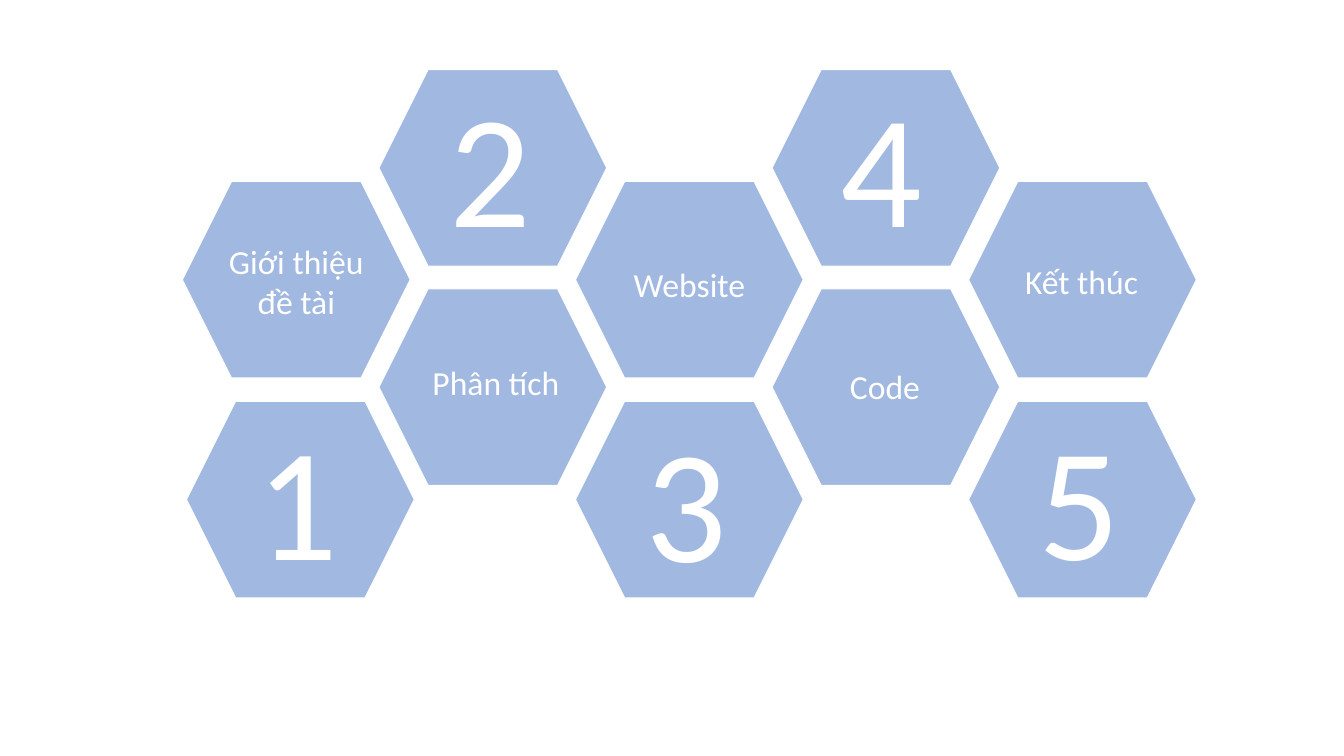
import pptx
import pptx.util
import pptx.dml.color
import pptx.enum.shapes
import pptx.enum.text
from lxml import etree

Pt = pptx.util.Pt
BLUE, WHITE, FONT = "4472C4", "FFFFFF", "Calibri"

# number, its left and top; label, its left, top and height
TOPICS = [
    ("1", 176.4, 281.5, "Giới thiệu đề tài", 145.4, 168.5, 65.5),
    ("2", 313.9, 43.9, "Phân tích", 288, 254.9, 36),
    ("3", 454.3, 283, "Website", 426.2, 185, 36),
    ("4", 593.3, 43.9, "Code", 565.9, 257.8, 36),
    ("5", 734.4, 281.5, "Kết thúc", 706.3, 182.9, 36),
]
LEFT, STEP = 130.3, 140.4
HEX_W, HEX_H = 162.7, 140.4
LOW_TOPS = (286.6, 129.6)
HIGH_TOPS = (206.3, 49.7)
NUDGE = 2.9  # the first bottom hexagon sits slightly to the right


def color(code):
    return pptx.dml.color.RGBColor.from_string(code)


def add_hex(slide, x, y):
    cell = slide.shapes.add_shape(
        pptx.enum.shapes.MSO_SHAPE.HEXAGON, Pt(x), Pt(y), Pt(HEX_W), Pt(HEX_H))
    cell.shadow.inherit = False
    cell.fill.solid()
    cell.fill.fore_color.rgb = color(BLUE)
    tint = cell.fill._xPr.find(".//" + pptx.oxml.ns.qn("a:srgbClr"))
    etree.SubElement(tint, pptx.oxml.ns.qn("a:alpha"), val="50000")
    cell.line.color.rgb = color(WHITE)
    cell.line.width = Pt(0.75)


def add_text(slide, text, x, y, w, h, size, align):
    box = slide.shapes.add_textbox(Pt(x), Pt(y), Pt(w), Pt(h))
    frame = box.text_frame
    frame.word_wrap = True
    frame.auto_size = pptx.enum.text.MSO_AUTO_SIZE.SHAPE_TO_FIT_TEXT
    para = frame.paragraphs[0]
    para.alignment = align
    run = para.add_run()
    run.text = text
    run.font.name = FONT
    run.font.size = Pt(size)
    run.font.color.rgb = color(WHITE)


def main():
    deck = pptx.Presentation()
    deck.slide_width, deck.slide_height = Pt(960), Pt(540)
    slide = deck.slides.add_slide(deck.slide_layouts[6])
    align = pptx.enum.text.PP_ALIGN

    for col in range(len(TOPICS)):
        tops = HIGH_TOPS if col % 2 else LOW_TOPS
        for row, top in enumerate(tops):
            shift = NUDGE if col == row == 0 else 0
            add_hex(slide, LEFT + col * STEP + shift, top)

    for num, num_x, num_y, label, x, y, h in TOPICS:
        add_text(slide, num, num_x, num_y, 75.6, 146.9, 115, align.LEFT)
        add_text(slide, label, x, y, 132.5, h, 24, align.CENTER)

    deck.save("out.pptx")


if __name__ == "__main__":
    main()
